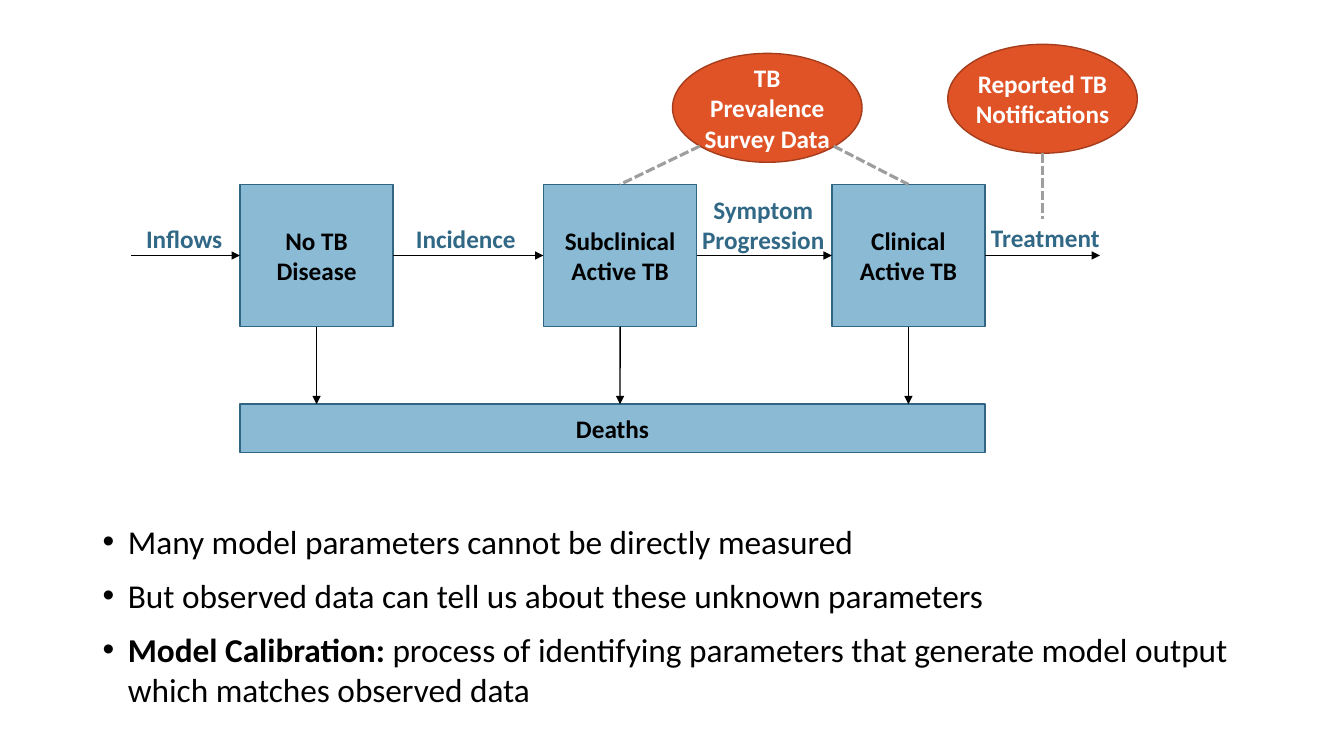
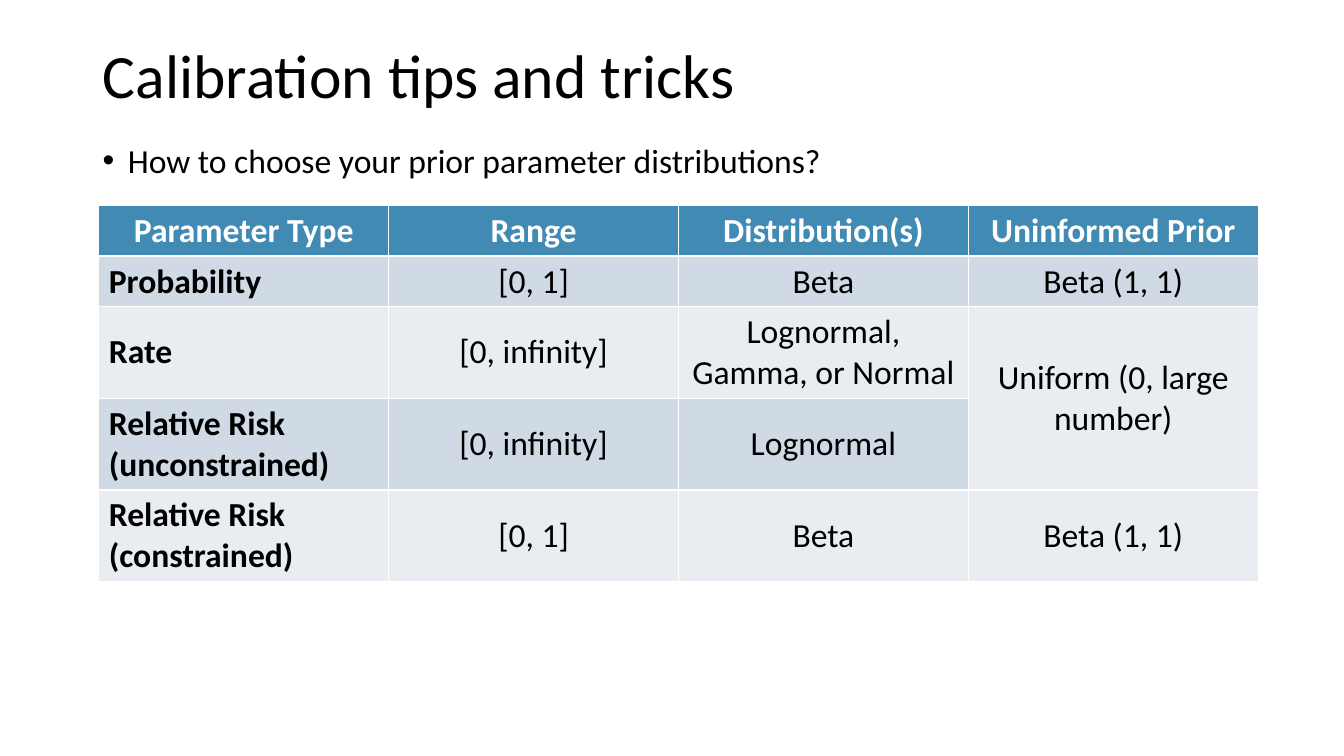
import pptx
import pptx.util
import pptx.dml.color
import pptx.enum.dml
import pptx.enum.shapes
import pptx.enum.text
import pptx.oxml.ns
from lxml import etree

Inches, Pt = pptx.util.Inches, pptx.util.Pt
RGBColor = pptx.dml.color.RGBColor
SHAPE = pptx.enum.shapes.MSO_SHAPE
ALIGN = pptx.enum.text.PP_ALIGN
ANCHOR = pptx.enum.text.MSO_ANCHOR
qn = pptx.oxml.ns.qn

# Shared style
FONT = "Calibri"
BLACK = RGBColor(0x00, 0x00, 0x00)
WHITE = RGBColor(0xFF, 0xFF, 0xFF)
BOX_FILL = RGBColor(0x8A, 0xBA, 0xD4)
BOX_LINE = RGBColor(0x30, 0x66, 0x84)
LABEL_BLUE = RGBColor(0x31, 0x68, 0x86)
OVAL_FILL = RGBColor(0xDF, 0x53, 0x27)
OVAL_LINE = RGBColor(0xA5, 0x3D, 0x1D)
DASH_GREY = RGBColor(0x9E, 0x9E, 0x9E)
HEADER_FILL = RGBColor(0x41, 0x8A, 0xB3)
BAND_FILLS = (RGBColor(0xCF, 0xDA, 0xE5), RGBColor(0xE9, 0xED, 0xF2))
SLIDE_WIDTH, SLIDE_HEIGHT = 13.33, 7.5
MARGIN, CONTENT_WIDTH = 0.92, 11.5

# Slide 1 content: flow diagram (inches)
BOX_WIDTH, BOX_HEIGHT, BOX_TOP = 1.52, 1.41, 1.83
FLOW_Y = BOX_TOP + BOX_HEIGHT / 2
DEATHS_TOP, DEATHS_HEIGHT = 4.01, 0.48
STATES = [("No TB Disease", 2.38), ("Subclinical Active TB", 5.39), ("Clinical Active TB", 8.25)]
INFLOW_START, TREATMENT_END = 1.3, 10.91
FLOW_LABELS = [  # text, left, top, width, height, alignment
    ("Inflows", 1.35, 2.17, 1.95, 0.4, ALIGN.LEFT),
    ("Incidence", 3.91, 2.17, 1.42, 0.4, ALIGN.CENTER),
    ("Symptom Progression", 6.81, 1.88, 1.52, 0.71, ALIGN.CENTER),
    ("Treatment", 9.73, 2.16, 1.95, 0.4, ALIGN.LEFT),
]
OVAL_WIDTH, OVAL_HEIGHT = 1.88, 1.08
DATA_SOURCES = [("Reported TB Notifications", 9.4, 0.44), ("TB Prevalence Survey Data", 6.67, 0.53)]
SURVEY_LINK_STARTS = [((6.94, 1.45), 1), ((8.27, 1.45), 2)]  # point on the oval, state
NOTIFICATION_LINK = ((10.34, 1.52), (10.34, 2.17))
CALIBRATION_POINTS = [  # bold lead, text
    ("", "Many model parameters cannot be directly measured"),
    ("", "But observed data can tell us about these unknown parameters"),
    ("Model Calibration: ", "process of identifying parameters that generate model output "
                            "which matches observed data"),
]

# Slide 2 content: table of priors
TITLE = "Calibration tips and tricks"
QUESTION = [("", "How to choose your prior parameter distributions?")]
PRIORS = [
    ("Parameter Type", "Range", "Distribution(s)", "Uninformed Prior"),
    ("Probability", "[0, 1]", "Beta", "Beta (1, 1)"),
    ("Rate", "[0, infinity]", "Lognormal, Gamma, or Normal", "Uniform (0, large number)"),
    ("Relative Risk (unconstrained)", "[0, infinity]", "Lognormal", None),  # None: merged upwards
    ("Relative Risk (constrained)", "[0, 1]", "Beta", "Beta (1, 1)"),
]
ROW_HEIGHTS = (0.5, 0.5, 0.91, 0.91, 0.91)


def write(frame, text, size=18, color=BLACK, bold=False, align=ALIGN.LEFT,
          anchor=ANCHOR.TOP, spacing=None, bullets=False):
    """Fill a text frame; text is a string or a list of (bold lead, text) paragraphs."""
    frame.word_wrap = True
    frame.vertical_anchor = anchor
    paragraphs = [("", text)] if isinstance(text, str) else text
    for index, (lead, body) in enumerate(paragraphs):
        paragraph = frame.add_paragraph() if index else frame.paragraphs[0]
        paragraph.alignment = align
        paragraph.line_spacing = spacing
        for words, is_bold in ((lead, True), (body, bold)):
            if words:
                run = paragraph.add_run()
                run.text = words
                run.font.name, run.font.size = FONT, Pt(size)
                run.font.bold, run.font.color.rgb = is_bold, color
        if bullets:
            paragraph.space_before = Pt(10)
            properties = paragraph._p.get_or_add_pPr()
            properties.set("marL", str(Inches(0.25)))
            properties.set("indent", str(Inches(-0.25)))
            etree.SubElement(properties, qn("a:buFont")).set("typeface", "Arial")
            etree.SubElement(properties, qn("a:buChar")).set("char", "•")


def add_text(slide, text, left, top, width, height, **style):
    box = slide.shapes.add_textbox(*map(Inches, (left, top, width, height)))
    write(box.text_frame, text, **style)


def add_node(slide, kind, text, left, top, width, height, fill, line, color=BLACK):
    shape = slide.shapes.add_shape(kind, *map(Inches, (left, top, width, height)))
    shape.shadow.inherit = False
    shape.fill.solid()
    shape.fill.fore_color.rgb = fill
    shape.line.color.rgb, shape.line.width = line, Pt(1)
    if kind == SHAPE.OVAL:
        shape.text_frame.margin_left = shape.text_frame.margin_right = 0
    write(shape.text_frame, text, color=color, bold=True, align=ALIGN.CENTER, anchor=ANCHOR.MIDDLE)
    return shape


def add_link(slide, start, end, begin=None, finish=None, dashed=False):
    """Draw an arrow or a dashed line; begin and finish are (shape, side) joints."""
    link = slide.shapes.add_connector(
        pptx.enum.shapes.MSO_CONNECTOR.STRAIGHT, *map(Inches, (*start, *end)))
    if begin:
        link.begin_connect(*begin)
    if finish:
        link.end_connect(*finish)
    link.line.color.rgb = DASH_GREY if dashed else BLACK
    link.line.width = Pt(2.25 if dashed else 1)
    if dashed:
        link.line.dash_style = pptx.enum.dml.MSO_LINE.SQUARE_DOT
    else:
        etree.SubElement(link.line._get_or_add_ln(), qn("a:tailEnd")).set("type", "triangle")
    etree.SubElement(link._element.spPr, qn("a:effectLst"))


def build_model_slide(presentation):
    slide = presentation.slides.add_slide(presentation.slide_layouts[6])
    add_text(slide, CALIBRATION_POINTS, MARGIN, 5.12, CONTENT_WIDTH, 2.03, size=23.8, bullets=True)

    # States and deaths
    boxes = [add_node(slide, SHAPE.RECTANGLE, text, left, BOX_TOP, BOX_WIDTH, BOX_HEIGHT,
                      BOX_FILL, BOX_LINE) for text, left in STATES]
    first_left, last_right = STATES[0][1], STATES[-1][1] + BOX_WIDTH
    add_node(slide, SHAPE.RECTANGLE, "Deaths", first_left, DEATHS_TOP, last_right - first_left,
             DEATHS_HEIGHT, BOX_FILL, BOX_LINE)

    # Flows between states and down to deaths
    add_link(slide, (INFLOW_START, FLOW_Y), (first_left, FLOW_Y), finish=(boxes[0], 1))
    for (_, left), (_, right), source, target in zip(STATES, STATES[1:], boxes, boxes[1:]):
        add_link(slide, (left + BOX_WIDTH, FLOW_Y), (right, FLOW_Y), (source, 3), (target, 1))
    add_link(slide, (last_right, FLOW_Y), (TREATMENT_END, FLOW_Y), begin=(boxes[-1], 3))
    centers = [left + BOX_WIDTH / 2 for _, left in STATES]
    for center, box in zip(centers, boxes):
        add_link(slide, (center, BOX_TOP + BOX_HEIGHT), (center, DEATHS_TOP), begin=(box, 2))
    for text, left, top, width, height, align in FLOW_LABELS:
        add_text(slide, text, left, top, width, height, color=LABEL_BLUE, bold=True, align=align)

    # Observed data
    for text, left, top in DATA_SOURCES:
        add_node(slide, SHAPE.OVAL, text, left, top, OVAL_WIDTH, OVAL_HEIGHT,
                 OVAL_FILL, OVAL_LINE, color=WHITE)
    add_link(slide, *NOTIFICATION_LINK, dashed=True)
    for start, state in SURVEY_LINK_STARTS:
        add_link(slide, start, (centers[state], BOX_TOP), finish=(boxes[state], 0), dashed=True)


def build_priors_slide(presentation):
    slide = presentation.slides.add_slide(presentation.slide_layouts[5])
    title = slide.shapes.title
    title.left, title.top, title.width, title.height = map(
        Inches, (MARGIN, 0.4, CONTENT_WIDTH, 1.45))
    write(title.text_frame, TITLE, size=44, spacing=0.9)
    add_text(slide, QUESTION, MARGIN, 1.38, CONTENT_WIDTH, 0.6, size=24, spacing=0.9, bullets=True)

    # Table
    table = slide.shapes.add_table(
        len(PRIORS), len(PRIORS[0]),
        *map(Inches, (0.98, 2.04, CONTENT_WIDTH, sum(ROW_HEIGHTS)))).table
    for row, height in zip(table.rows, ROW_HEIGHTS):
        row.height = Inches(height)
    for row_index, values in enumerate(PRIORS):
        header = row_index == 0
        for column_index, value in enumerate(values):
            cell = table.cell(row_index, column_index)
            cell.fill.solid()
            cell.fill.fore_color.rgb = HEADER_FILL if header else BAND_FILLS[(row_index - 1) % 2]
            if value is None:
                table.cell(row_index - 1, column_index).merge(cell)
                continue
            row_name = column_index == 0 and not header
            write(cell.text_frame, value, size=24, color=WHITE if header else BLACK,
                  bold=header or row_name, align=ALIGN.LEFT if row_name else ALIGN.CENTER)
            cell.vertical_anchor = ANCHOR.MIDDLE


def main():
    presentation = pptx.Presentation()
    presentation.slide_width = Inches(SLIDE_WIDTH)
    presentation.slide_height = Inches(SLIDE_HEIGHT)
    build_model_slide(presentation)
    build_priors_slide(presentation)
    presentation.save("out.pptx")


if __name__ == "__main__":
    main()
